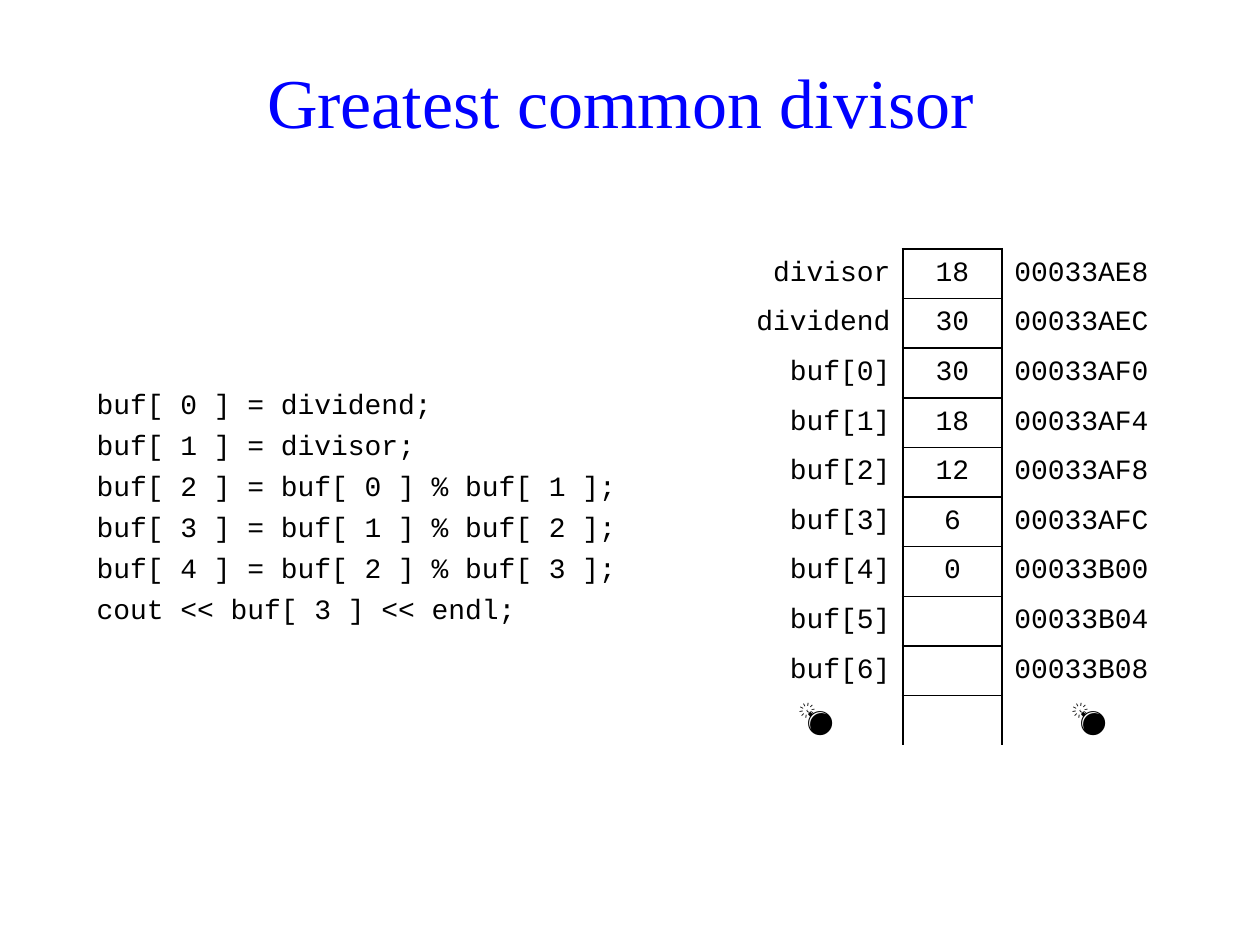
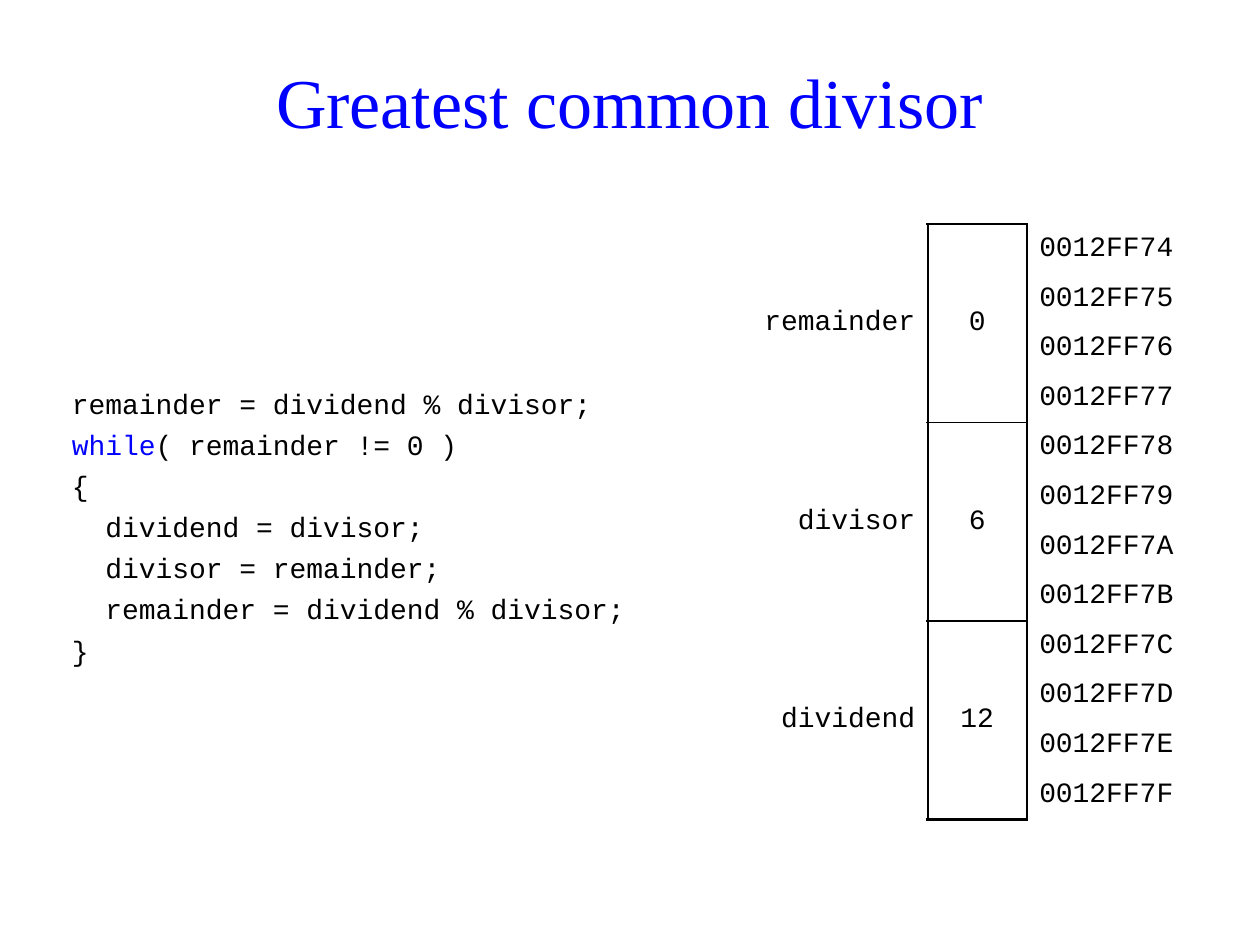
from dataclasses import dataclass

from lxml.etree import SubElement
from pptx import Presentation
from pptx.dml.color import RGBColor
from pptx.enum.text import MSO_ANCHOR as Anchor, PP_ALIGN as Align
from pptx.oxml.ns import qn
from pptx.util import Pt

PX = 3600
COLORS = {"title": "0000FF", "keyword": "0000FF", "code": "000000", "line": "000000"}
SERIF, MONO = "Times New Roman", "Courier New"
NO_GRID_STYLE = "{2D5ABB26-0587-4C30-8999-92F81FD0307C}"
ROW_H, VALUE_W, ADDRESS_W = 100, 200, 350
OUTER, INNER = 1.5, 1
BOMB = "💣"


@dataclass(frozen=True)
class Box:
    left: int
    top: int
    width: int
    height: int


@dataclass(frozen=True)
class Variable:
    name: str
    value: str = ""


@dataclass(frozen=True)
class Memory:
    left: int
    top: int
    name_w: int
    bytes_per_row: int
    start: int
    variables: tuple[Variable, ...]
    span: int = 1
    continues: bool = False


@dataclass(frozen=True)
class Page:
    title: str
    code_box: Box
    code: str
    memory: Memory
    keywords: tuple[str, ...] = ()


TITLE_BOX = Box(69, 53, 2400, 300)

PAGES = (
    Page(
        "Greatest common divisor ",
        Box(170, 752, 1100, 500),
        """buf[ 0 ] = dividend;
buf[ 1 ] = divisor;
buf[ 2 ] = buf[ 0 ] % buf[ 1 ];
buf[ 3 ] = buf[ 1 ] % buf[ 2 ];
buf[ 4 ] = buf[ 2 ] % buf[ 3 ];
cout << buf[ 3 ] << endl;""",
        Memory(
            1470, 502, 350, 4, 0x00033AE8,
            (
                Variable("divisor", "18"),
                Variable("dividend", "30"),
                Variable("buf[0]", "30"),
                Variable("buf[1]", "18"),
                Variable("buf[2]", "12"),
                Variable("buf[3]", "6"),
                Variable("buf[4]", "0"),
                Variable("buf[5]"),
                Variable("buf[6]"),
            ),
            continues=True,
        ),
    ),
    Page(
        "Greatest common divisor",
        Box(120, 752, 1200, 600),
        """remainder = dividend % divisor;
while( remainder != 0 )
{
  dividend = divisor;
  divisor = remainder;
  remainder = dividend % divisor;
}""",
        Memory(
            1470, 452, 400, 1, 0x0012FF74,
            (
                Variable("remainder", "0"),
                Variable("divisor", "6"),
                Variable("dividend", "12"),
            ),
            span=4,
        ),
        ("while",),
    ),
)


def add_run(p, text: str, font: str, size: int, color: str, bold: bool = False) -> None:
    r = p.add_run()
    r.text = text
    r.font.name, r.font.size, r.font.bold = font, Pt(size), bold
    r.font.color.rgb = RGBColor.from_string(COLORS[color])


def add_box(s, box: Box):
    sp = s.shapes.add_textbox(
        box.left * PX, box.top * PX, box.width * PX, box.height * PX
    )
    sp.text_frame.word_wrap = True
    return sp.text_frame


def add_title(s, text: str) -> None:
    tf = add_box(s, TITLE_BOX)
    tf.vertical_anchor = Anchor.MIDDLE
    p = tf.paragraphs[0]
    p.alignment = Align.CENTER
    add_run(p, text, SERIF, 40, "title")


def add_code(s, page: Page) -> None:
    tf = add_box(s, page.code_box)
    tf.margin_top = 27 * PX
    for i, line in enumerate(page.code.splitlines()):
        p = tf.add_paragraph() if i else tf.paragraphs[0]
        if i:
            p.space_before = Pt(4.3)
        for word in page.keywords:
            if line.startswith(word):
                add_run(p, word, MONO, 16, "keyword")
                line = line.removeprefix(word)
        add_run(p, line, MONO, 16, "code")


def set_borders(cell, widths: dict[str, float]) -> None:
    tc_pr = cell._tc.get_or_add_tcPr()
    for side in "LRTB":
        if side in widths:
            ln = SubElement(tc_pr, qn(f"a:ln{side}"), w=str(Pt(widths[side])))
            fill = SubElement(ln, qn("a:solidFill"))
            SubElement(fill, qn("a:srgbClr"), val=COLORS["line"])


def fill_cell(cell, text: str, align: Align) -> None:
    is_bomb = text == BOMB
    cell.fill.background()
    cell.vertical_anchor = Anchor.MIDDLE
    cell.margin_left = cell.margin_right = 25 * PX
    cell.margin_top = cell.margin_bottom = 0 if is_bomb else 10 * PX
    p = cell.text_frame.paragraphs[0]
    p.alignment = Align.CENTER if is_bomb else align
    if text:
        add_run(p, text, MONO, 20 if is_bomb else 16, "code", is_bomb)


def value_borders(row: int, span: int, used: int, continues: bool) -> dict[str, float]:
    widths = {"L": OUTER, "R": OUTER}
    offset = row % span
    if offset == 0:
        widths["T"] = INNER if row else OUTER
    if row < used and offset in (0, span - 1):
        ends = row - offset + span == used
        widths["B"] = OUTER if ends and not continues else INNER
    return widths


def add_memory(s, mem: Memory) -> None:
    used = len(mem.variables) * mem.span
    rows = used + mem.continues
    widths = (mem.name_w, VALUE_W, ADDRESS_W)
    table = s.shapes.add_table(
        rows, 3, mem.left * PX, mem.top * PX, sum(widths) * PX, rows * ROW_H * PX
    ).table
    table.first_row = table.horz_banding = False
    table._tbl.tblPr.find(qn("a:tableStyleId")).text = NO_GRID_STYLE
    for column, width in zip(table.columns, widths):
        column.width = width * PX
    for row in range(rows):
        table.rows[row].height = ROW_H * PX
        name, value, address = (table.cell(row, c) for c in range(3))
        set_borders(name, {"R": OUTER})
        set_borders(value, value_borders(row, mem.span, used, mem.continues))
        set_borders(address, {"L": OUTER})
        if row == used:
            texts = (BOMB, "", BOMB)
        else:
            var = mem.variables[row // mem.span]
            if row % mem.span:
                var = Variable("")
            texts = (var.name, var.value, f"{mem.start + row * mem.bytes_per_row:08X}")
        aligns = (Align.RIGHT, Align.CENTER, Align.LEFT)
        for cell, text, align in zip((name, value, address), texts, aligns):
            fill_cell(cell, text, align)
    if mem.span > 1:
        for row in range(0, used, mem.span):
            for col in range(2):
                table.cell(row, col).merge(table.cell(row + mem.span - 1, col))


def main() -> None:
    prs = Presentation()
    prs.slide_width, prs.slide_height = 2540 * PX, 1905 * PX
    for page in PAGES:
        s = prs.slides.add_slide(prs.slide_layouts[6])
        add_title(s, page.title)
        add_code(s, page)
        add_memory(s, page.memory)
    prs.save("out.pptx")


if __name__ == "__main__":
    main()
